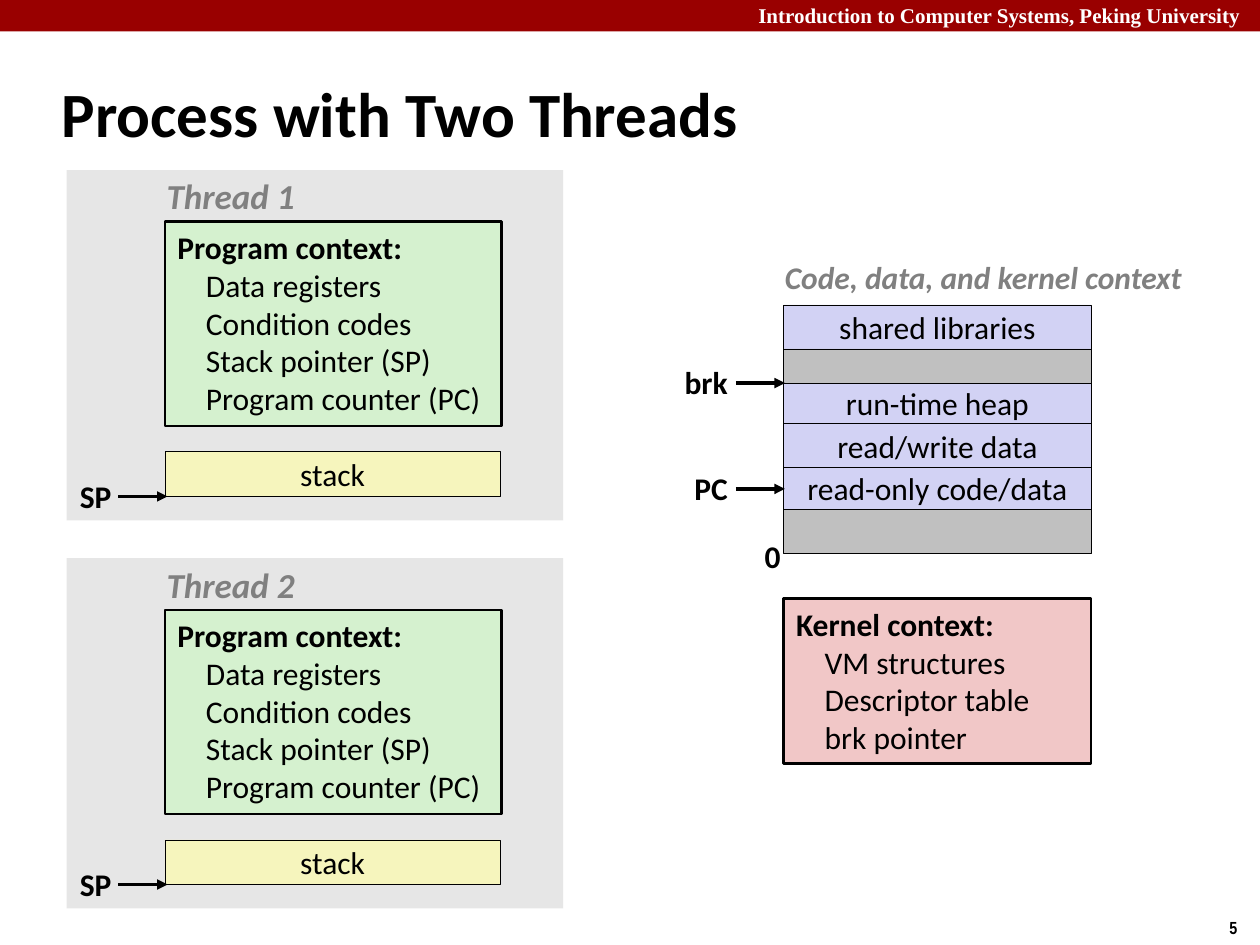
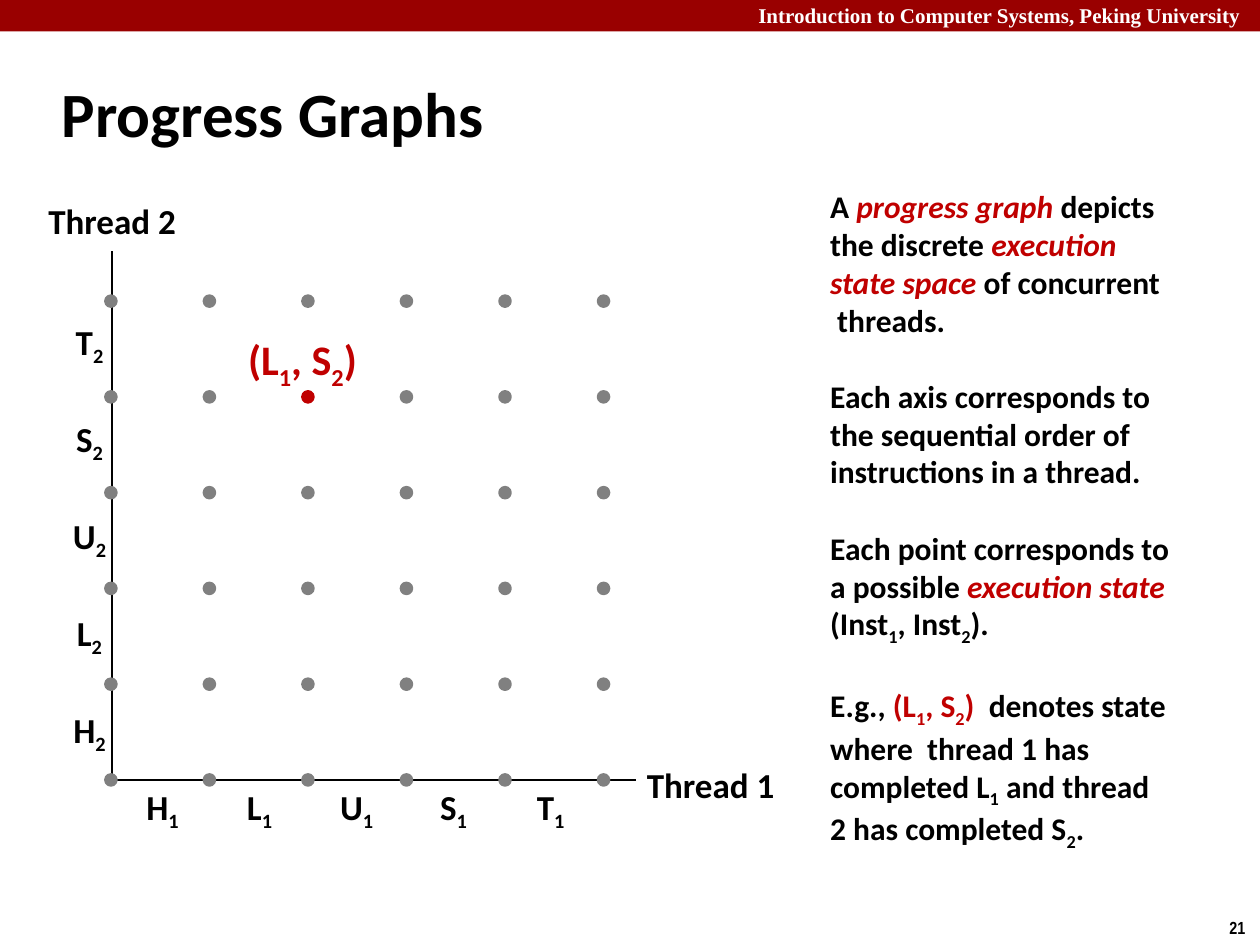
from itertools import groupby

from lxml import etree
from pptx import Presentation
from pptx.dml.color import RGBColor
from pptx.enum.shapes import MSO_CONNECTOR, MSO_SHAPE
from pptx.enum.text import MSO_ANCHOR, MSO_AUTO_SIZE, PP_ALIGN
from pptx.oxml.ns import qn
from pptx.util import Inches, Pt

RECT, OVAL = MSO_SHAPE.RECTANGLE, MSO_SHAPE.OVAL
STRAIGHT = MSO_CONNECTOR.STRAIGHT
LEFT, CENTER = PP_ALIGN.LEFT, PP_ALIGN.CENTER
TOP, MIDDLE = MSO_ANCHOR.TOP, MSO_ANCHOR.MIDDLE
FIXED = MSO_AUTO_SIZE.NONE

COLUMNS, ROWS = 100, 75
CELL = Inches(0.1)

BLACK, WHITE, GRAY = "000000", "FFFFFF", "808080"
BAND, ACCENT, PANEL = "990000", "C00000", "E6E6E6"
GREEN, YELLOW, PINK = "D5F1CF", "F6F5BD", "F1C7C7"
LILAC, UNUSED = "D2D2F4", "C0C0C0"

COURSE = "Introduction to Computer Systems, Peking University"
REGISTERS = ["Data registers", "Condition codes", "Stack pointer (SP)", "Program counter (PC)"]
KERNEL_ITEMS = ["VM structures", "Descriptor table", "brk pointer"]
MEMORY = [
    ("shared libraries", 3.5),
    ("", 2.7),
    ("run-time heap", 3.2),
    ("read/write data", 3.5),
    ("read-only code/data", 3.3),
    ("", 3.5),
]
INSTRUCTIONS = "HLUST"
EXPLANATION = [
    "A {progress graph }depicts\nthe discrete {execution\nstate space} of concurrent\n threads.",
    "Each axis corresponds to\nthe sequential order of\ninstructions in a thread.",
    "Each point corresponds to\na possible {execution state}\n(Inst_1, Inst_2).",
    "E.g., [(L_1, S_2)  ]denotes state\nwhere  thread 1 has\n"
    "completed L_1 and thread\n2 has completed S_2.",
]
MARKS = {"{": (True, True), "[": (True, False), "}": (False, False), "]": (False, False)}


def cells(*counts):
    """Turn counts of grid cells into lengths."""
    return [int(count * CELL) for count in counts]


def rgb(value):
    """Turn a hex string into a colour."""
    return RGBColor.from_string(value)


def styled_pieces(text):
    """Split text at {accent italic}, [accent], _subscript and line breaks."""
    accent = slanted = lowered = False
    letters = []
    for letter in text:
        if letter in MARKS:
            accent, slanted = MARKS[letter]
        elif letter == "_":
            lowered = True
        else:
            letters.append((letter, (accent, slanted, lowered, letter == "\n")))
            lowered = False
    for style, group in groupby(letters, key=lambda item: item[1]):
        yield "".join(letter for letter, _ in group), style


def write(frame, text, size=18, color=BLACK, bold=False, italic=False,
          font="Calibri", align=LEFT, indent=0, before=0):
    """Write one paragraph of marked-up text into a text frame."""
    paragraph = frame.add_paragraph() if frame.text else frame.paragraphs[0]
    paragraph.alignment = align
    paragraph.space_before = Pt(before)
    if indent:
        paragraph._p.get_or_add_pPr().set("marL", str(Pt(indent)))
    for piece, (accent, slanted, lowered, is_break) in styled_pieces(text):
        if is_break:
            paragraph.add_line_break()
            continue
        run = paragraph.add_run()
        run.text = piece
        run.font.name, run.font.size = font, Pt(size)
        run.font.bold, run.font.italic = bold, italic or slanted
        run.font.color.rgb = rgb(ACCENT if accent else color)
        if lowered:
            run._r.get_or_add_rPr().set("baseline", "-25000")


def add_block(slide, left, top, width, height, fill, line=None, weight=0.25,
              kind=RECT, text="", anchor=MIDDLE, wrap=False):
    """Add a filled shape with an optional outline and centred text."""
    block = slide.shapes.add_shape(kind, *cells(left, top, width, height))
    block.shadow.inherit = False
    block.fill.solid()
    block.fill.fore_color.rgb = rgb(fill)
    if line:
        block.line.color.rgb = rgb(line)
        block.line.width = Pt(weight)
    else:
        block.line.fill.background()
    block.text_frame.word_wrap = wrap
    block.text_frame.vertical_anchor = anchor
    if text:
        write(block.text_frame, text, align=CENTER)
    return block


def add_label(slide, text, left, top, width, height=4, anchor=MIDDLE, wrap=False, **style):
    """Add a text box holding one formatted paragraph."""
    label = slide.shapes.add_textbox(*cells(left, top, width, height))
    label.text_frame.word_wrap = wrap
    label.text_frame.vertical_anchor = anchor
    write(label.text_frame, text, **{"bold": True, **style})
    return label


def add_line(slide, start, end, weight=1, arrow=False):
    """Draw a black line, with an arrowhead at its end if asked."""
    connector = slide.shapes.add_connector(STRAIGHT, *cells(*start, *end))
    connector.line.color.rgb = rgb(BLACK)
    connector.line.width = Pt(weight)
    properties = connector._element.spPr
    if arrow:
        etree.SubElement(properties.find(qn("a:ln")), qn("a:tailEnd"), type="triangle")
    etree.SubElement(properties, qn("a:effectLst"))


def add_pointer(slide, name, left, width, label_top, tip_x, tip_y):
    """Add a register name with an arrow to the place it points at."""
    add_label(slide, name, left, label_top, width, align=CENTER)
    add_line(slide, (tip_x - 3.9, tip_y), (tip_x, tip_y), weight=2, arrow=True)


def add_context(slide, heading, items, left, top, width, height, fill):
    """Add an outlined box with a bold heading and indented items."""
    box = add_block(slide, left, top, width, height, fill, BLACK, 1.5, anchor=TOP, wrap=True)
    write(box.text_frame, heading, bold=True)
    for item in items:
        write(box.text_frame, item, indent=16.3)


def add_thread(slide, name, top):
    """Add the panel of one thread with its context and its stack."""
    add_block(slide, 5.3, top, 39.4, 27.8, PANEL)
    add_label(slide, name, 12.2, top - 0.15, 12.2, 4.4,
              size=20, color=GRAY, italic=True, align=CENTER)
    add_context(slide, "Program context:", REGISTERS, 13.1, top + 4.1, 26.7, 16.2, GREEN)
    add_block(slide, 13.1, top + 22.35, 26.6, 3.5, YELLOW, BLACK, text="stack")
    add_pointer(slide, "SP", 5.3, 4.6, top + 23.85, 13.3, top + 25.9)


def add_memory(slide, left, top, width):
    """Stack the memory regions from the top address down to zero."""
    for region, height in MEMORY:
        add_block(slide, left, top, width, height, LILAC if region else UNUSED,
                  BLACK, text=region)
        top += height


def add_state_grid(slide, left, bottom, column_step, row_step, reached):
    """Add a dot for each execution state and mark the reached one."""
    steps = range(len(INSTRUCTIONS) + 1)
    for column in steps:
        for row in steps:
            color = ACCENT if (column, row) == reached else GRAY
            add_block(slide, left + column * column_step, bottom - row * row_step,
                      0.8, 0.8, color, color, 2, kind=OVAL)


def start_slide(deck, title, number):
    """Add a slide with the course band, its title and its number."""
    slide = deck.slides.add_slide(deck.slide_layouts[5])
    add_block(slide, 0, 0, COLUMNS, 2.5, BAND)
    add_label(slide, COURSE, 59.2, -0.3, 41.5, 3, anchor=TOP, wrap=True,
              size=12, color=WHITE, font="Times New Roman")
    add_label(slide, str(number), 96.6, 72.3, 3.4, 2.7, anchor=TOP,
              size=10, font="Arial Narrow")
    heading = slide.shapes.title
    heading.left, heading.top, heading.width, heading.height = cells(3.9, 4.8, 83, 8.3)
    heading.text_frame.auto_size = FIXED
    heading.text_frame.vertical_anchor = MIDDLE
    write(heading.text_frame, title, size=36, bold=True)
    return slide


def build_threads_slide(deck):
    """Show two threads beside the memory and kernel context they share."""
    slide = start_slide(deck, "Process with Two Threads", 5)
    add_thread(slide, "Thread 1", 13.5)
    add_thread(slide, "Thread 2", 44.3)
    add_label(slide, "Code, data, and kernel context", 61.1, 20, 33.9,
              color=GRAY, italic=True, align=CENTER)
    add_memory(slide, 62.2, 24.2, 24.4)
    add_pointer(slide, "brk", 53.3, 5.5, 28.3, 62.3, 30.4)
    add_pointer(slide, "PC", 54.1, 4.7, 36.7, 62.3, 38.8)
    add_label(slide, "0", 59.7, 42.1, 3.3, anchor=TOP)
    add_context(slide, "Kernel context:", KERNEL_ITEMS, 62.2, 47.5, 24.4, 13.1, PINK)


def build_graph_slide(deck):
    """Show the progress graph of two threads and explain it."""
    slide = start_slide(deck, "Progress Graphs", 21)
    explanation = add_label(slide, EXPLANATION[0], 64.9, 15, 29.1, 52.5)
    for paragraph in EXPLANATION[1:]:
        write(explanation.text_frame, paragraph, bold=True, before=22)
    origin = (8.9, 61.9)
    add_line(slide, origin, (50.5, 61.9))
    add_line(slide, origin, (8.9, 19.9))
    axis_style = {"size": 20, "align": CENTER}
    for step, letter in enumerate(INSTRUCTIONS):
        offset = step * 7.7
        add_label(slide, f"{letter}_1", 10.5 + offset, 62, 4.8, 4.4, **axis_style)
        add_label(slide, f"{letter}_2", 4.7, 55.9 - offset, 4.8, 4.4, **axis_style)
    add_label(slide, "Thread 1", 50.3, 60.1, 12.2, 4.4, **axis_style)
    add_label(slide, "Thread 2", 2.8, 15.3, 12.2, 4.4, **axis_style)
    add_state_grid(slide, 8.4, 61.5, 7.82, 7.6, reached=(2, 4))
    add_label(slide, "(L_1, S_2)", 18.7, 26, 11.8, 5, anchor=TOP, size=24, color=ACCENT)


def main():
    """Build both slides and save the deck."""
    deck = Presentation()
    deck.slide_width, deck.slide_height = cells(COLUMNS, ROWS)
    build_threads_slide(deck)
    build_graph_slide(deck)
    deck.save("out.pptx")


if __name__ == "__main__":
    main()
